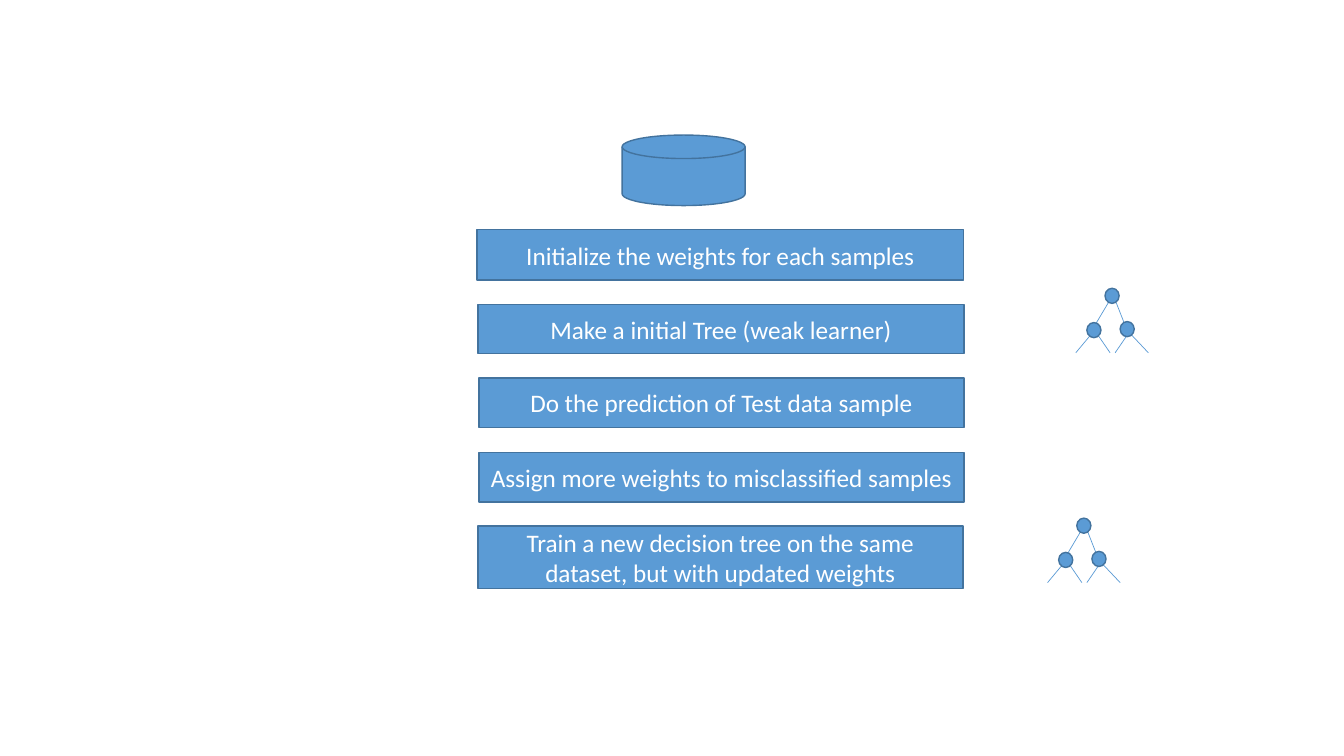
from dataclasses import dataclass

from lxml import etree
from pptx import Presentation
from pptx import util as u
from pptx.dml.color import RGBColor
from pptx.enum import shapes, text
from pptx.oxml import ns

PX = 9144
BLUE = RGBColor(0x5B, 0x9B, 0xD5)
DARK_BLUE = RGBColor(0x43, 0x73, 0x9E)
WHITE = RGBColor(0xFF, 0xFF, 0xFF)
FONT = "Calibri"
NODE_WIDTH, NODE_HEIGHT = 14, 15


@dataclass(frozen=True)
class Step:
    label: str
    left: int
    top: int
    width: int
    height: int


@dataclass(frozen=True)
class Branch:
    start: tuple[int, int]
    end: tuple[int, int]


STEPS = [
    Step("Initialize the weights for each samples", 473, 228, 483, 50),
    Step("Make a initial Tree (weak learner)", 474, 302, 482, 49),
    Step("Do the prediction of Test data sample", 475, 375, 481, 49),
    Step("Assign more weights to misclassified samples", 475, 449, 481, 49),
    Step("Train a new decision tree on the same dataset, but with updated weights",
         474, 522, 481, 62),
]
TREE_ORIGINS = [(1067, 286), (1039, 514)]
TREE_NODES = [(29, 0), (11, 34), (44, 33)]
TREE_BRANCHES = [
    Branch((36, 8), (20, 35)),
    Branch((40, 14), (49, 37)),
    Branch((15, 46), (0, 64)),
    Branch((21, 45), (34, 64)),
    Branch((50, 48), (39, 64)),
    Branch((55, 46), (72, 64)),
]


def add_block(parent, kind: shapes.MSO_SHAPE, left: int, top: int, width: int, height: int):
    shape = parent.add_shape(kind, left * PX, top * PX, width * PX, height * PX)
    shape.shadow.inherit = False
    shape.fill.solid()
    shape.fill.fore_color.rgb = BLUE
    shape.line.color.rgb = DARK_BLUE
    shape.line.width = u.Pt(1)
    return shape


def write_text(shape, content: str, *, size: int = 18, color: RGBColor = WHITE,
               align: text.PP_ALIGN = text.PP_ALIGN.CENTER) -> None:
    frame = shape.text_frame
    frame.word_wrap = True
    frame.vertical_anchor = text.MSO_ANCHOR.MIDDLE
    paragraph = frame.paragraphs[0]
    paragraph.alignment = align
    run = paragraph.add_run()
    run.text = content
    run.font.name = FONT
    run.font.size = u.Pt(size)
    run.font.color.rgb = color


def add_branch(parent, branch: Branch, left: int, top: int) -> None:
    (start_x, start_y), (end_x, end_y) = branch.start, branch.end
    connector = parent.add_connector(
        shapes.MSO_CONNECTOR.STRAIGHT,
        (left + start_x) * PX, (top + start_y) * PX,
        (left + end_x) * PX, (top + end_y) * PX)
    connector.line.color.rgb = BLUE
    connector.line.width = u.Pt(0.5)
    etree.SubElement(connector.element.spPr, ns.qn("a:effectLst"))


def add_tree(slide, left: int, top: int) -> None:
    tree = slide.shapes.add_group_shape().shapes
    for branch in TREE_BRANCHES:
        add_branch(tree, branch, left, top)
    for x, y in TREE_NODES:
        add_block(tree, shapes.MSO_SHAPE.OVAL, left + x, top + y, NODE_WIDTH, NODE_HEIGHT)


def main() -> None:
    presentation = Presentation()
    presentation.slide_width = u.Inches(13.33)
    presentation.slide_height = u.Inches(7.5)
    slide = presentation.slides.add_slide(presentation.slide_layouts[6])
    add_block(slide.shapes, shapes.MSO_SHAPE.FLOWCHART_MAGNETIC_DISK, 617, 134, 122, 70)
    for step in STEPS:
        box = add_block(slide.shapes, shapes.MSO_SHAPE.RECTANGLE,
                        step.left, step.top, step.width, step.height)
        write_text(box, step.label)
    for left, top in TREE_ORIGINS:
        add_tree(slide, left, top)
    presentation.save("out.pptx")


if __name__ == "__main__":
    main()
